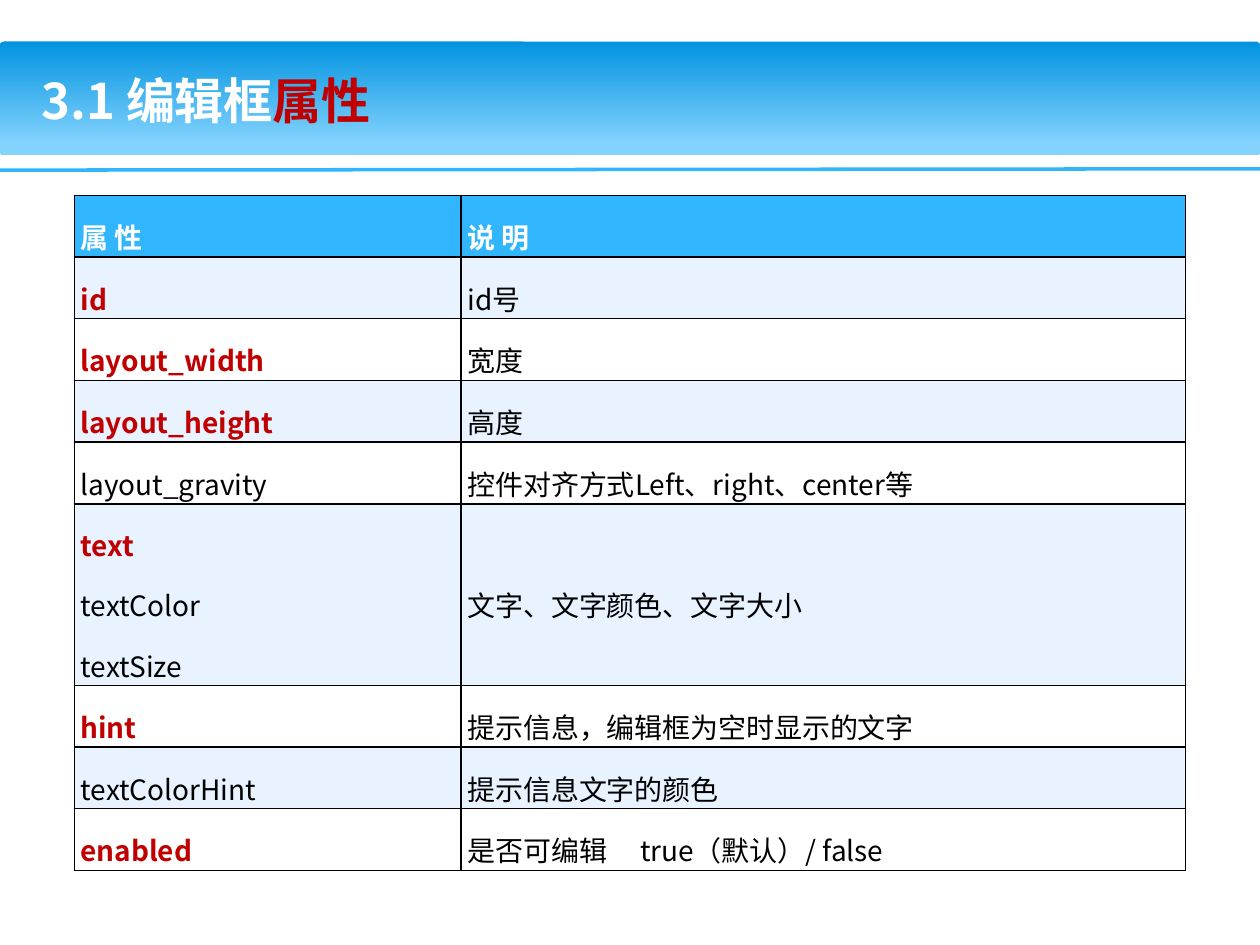
from lxml import etree
from pptx import Presentation, util as u
from pptx.dml.color import RGBColor
from pptx.enum import shapes, text
from pptx.oxml.ns import qn

FONT = "Noto Sans CJK SC"
WHITE = RGBColor(0xFF, 0xFF, 0xFF)
BLACK = RGBColor(0, 0, 0)
RED = RGBColor(0xC0, 0, 0)
SKY = RGBColor(0x31, 0xB6, 0xFD)
PALE = RGBColor(0xE8, 0xF3, 0xFF)
DEEP = RGBColor(0x02, 0x93, 0xE0)
LIGHT = RGBColor(0x83, 0xD3, 0xFE)

WIDTH, HEIGHT = u.Inches(10), u.Inches(7.5)
COLUMNS = [3.07, 5.75]
LINE_ROW, TALL_ROW = 0.49, 1.31
TAB_STOP = 1.37

HEADER = ("属 性", "说 明")
ROWS = [
    (["id"], "id号"),
    (["layout_width"], "宽度"),
    (["layout_height"], "高度"),
    (["layout_gravity"], "控件对齐方式Left、right、center等"),
    (["text", "textColor", "textSize"], "文字、文字颜色、文字大小"),
    (["hint"], "提示信息，编辑框为空时显示的文字"),
    (["textColorHint"], "提示信息文字的颜色"),
    (["enabled"], "是否可编辑\ttrue（默认）/ false"),
]
KEY_NAMES = {"id", "layout_width", "layout_height", "text", "hint", "enabled"}

BODY = {"name": FONT, "size": u.Pt(16), "bold": False}
STRONG = {**BODY, "bold": True}
TITLE = {**STRONG, "size": u.Pt(28)}
CELL = {"margin_left": u.Inches(0.05), "margin_right": u.Inches(0.05),
        "margin_top": 0, "margin_bottom": 0,
        "vertical_anchor": text.MSO_ANCHOR.MIDDLE}


def apply(obj, values):
    for name, value in values.items():
        setattr(obj, name, value)


def add_run(p, words, style, color):
    r = p.add_run()
    r.text = words
    apply(r.font, style)
    r.font.color.rgb = color
    etree.SubElement(r.font._element, qn("a:ea"), typeface=FONT)


def add_band(s):
    sp = s.shapes.add_shape(shapes.MSO_SHAPE.ROUNDED_RECTANGLE,
                            0, int(HEIGHT * 0.044), WIDTH, int(HEIGHT * 0.12))
    sp.adjustments[0] = 0.034
    sp.shadow.inherit = False
    sp.line.fill.background()
    sp.fill.gradient()
    sp.fill.gradient_angle = 270
    stops = zip(sp.fill.gradient_stops, [(DEEP, 0), (LIGHT, 0.9)])
    for stop, (color, position) in stops:
        stop.color.rgb = color
        stop.position = position


def add_rule(s):
    line = s.shapes.add_connector(shapes.MSO_CONNECTOR.STRAIGHT,
                                  0, u.Inches(1.35), WIDTH, u.Inches(1.34))
    line.line.color.rgb = SKY
    line.line.width = u.Pt(2)
    etree.SubElement(line._element.spPr, qn("a:effectLst"))


def add_title(s, parts):
    sp = s.shapes.add_textbox(u.Inches(0.23), u.Inches(0.36),
                              int(WIDTH * 0.88), u.Inches(0.87))
    tf = sp.text_frame
    apply(tf, {"word_wrap": True, "vertical_anchor": text.MSO_ANCHOR.MIDDLE})
    for words, color in parts:
        add_run(tf.paragraphs[0], words, TITLE, color)


def add_borders(cell):
    props = cell._tc.get_or_add_tcPr()
    for i, side in enumerate(("lnL", "lnR", "lnT", "lnB")):
        ln = etree.Element(qn(f"a:{side}"), w=str(u.Pt(1)))
        fill = etree.SubElement(ln, qn("a:solidFill"))
        etree.SubElement(fill, qn("a:srgbClr"), val=str(BLACK))
        props.insert(i, ln)


def add_tab_stop(p):
    tabs = etree.SubElement(p._p.get_or_add_pPr(), qn("a:tabLst"))
    etree.SubElement(tabs, qn("a:tab"), pos=str(u.Inches(TAB_STOP)), algn="l")


def fill_cell(cell, lines, background):
    apply(cell, CELL)
    cell.fill.solid()
    cell.fill.fore_color.rgb = background
    add_borders(cell)
    tf = cell.text_frame
    for i, (words, style, color) in enumerate(lines):
        p = tf.add_paragraph() if i else tf.paragraphs[0]
        if "\t" in words:
            add_tab_stop(p)
        p.line_spacing = 1.5
        add_run(p, words, style, color)


def name_line(name):
    return (name, STRONG, RED) if name in KEY_NAMES else (name, BODY, BLACK)


def add_attribute_table(s):
    heights = [LINE_ROW] + [TALL_ROW if len(names) > 1 else LINE_ROW
                            for names, _ in ROWS]
    table = s.shapes.add_table(len(heights), len(COLUMNS),
                               u.Inches(0.59), u.Inches(1.55),
                               u.Inches(sum(COLUMNS)),
                               u.Inches(sum(heights))).table
    for column, width in zip(table.columns, COLUMNS):
        column.width = u.Inches(width)
    for row, height in zip(table.rows, heights):
        row.height = u.Inches(height)
    for c, words in enumerate(HEADER):
        fill_cell(table.cell(0, c), [(words, STRONG, WHITE)], SKY)
    for i, (names, meaning) in enumerate(ROWS, 1):
        background = PALE if i % 2 else WHITE
        fill_cell(table.cell(i, 0), map(name_line, names), background)
        fill_cell(table.cell(i, 1), [(meaning, BODY, BLACK)], background)


def main():
    prs = Presentation()
    apply(prs, {"slide_width": WIDTH, "slide_height": HEIGHT})
    s = prs.slides.add_slide(prs.slide_layouts[6])
    add_band(s)
    add_rule(s)
    add_attribute_table(s)
    add_title(s, [("3.1 编辑框", WHITE), ("属性", RED)])
    prs.save("out.pptx")


if __name__ == "__main__":
    main()
